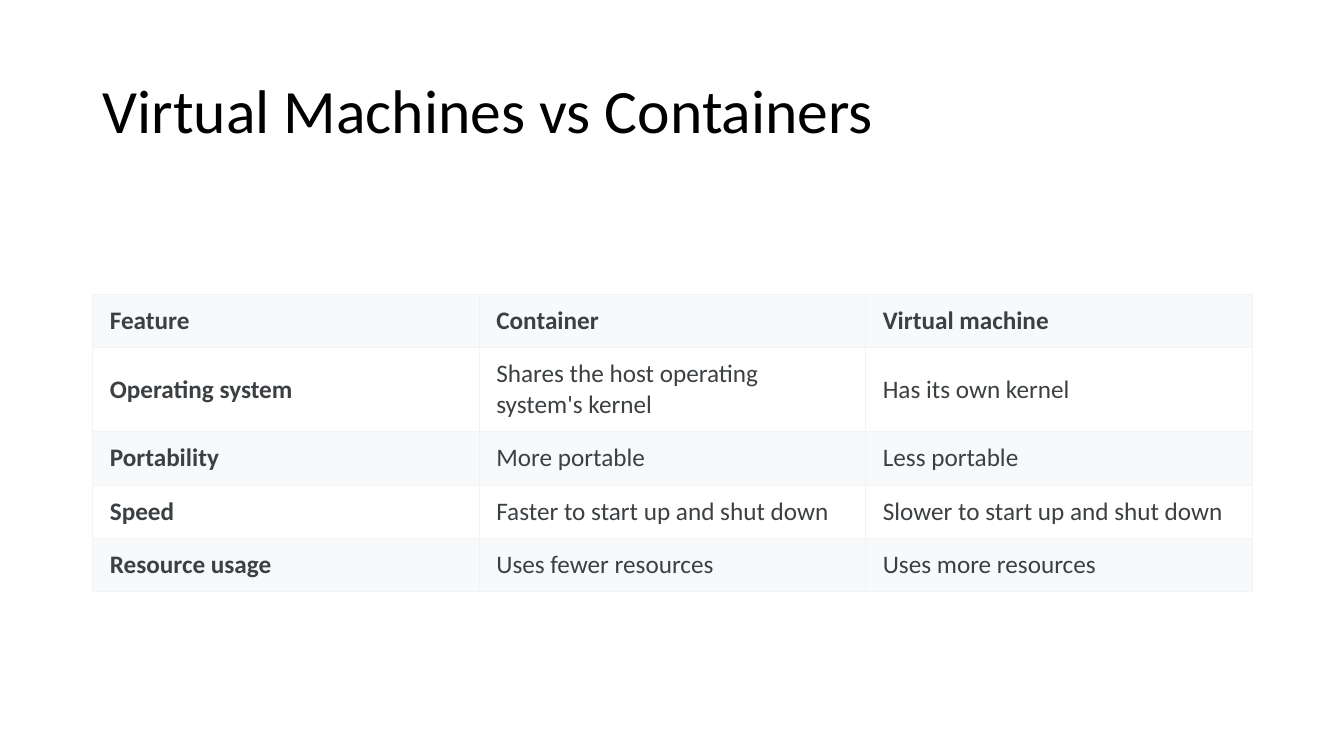
from lxml.etree import SubElement
from pptx import Presentation
from pptx.dml.color import RGBColor
from pptx.enum.text import MSO_ANCHOR
from pptx.oxml.ns import qn
from pptx.util import Inches, Pt

BLACK = RGBColor(0x00, 0x00, 0x00)
WHITE = RGBColor(0xFF, 0xFF, 0xFF)
GREY = RGBColor(0x3C, 0x40, 0x43)
BAND = RGBColor(0xF8, 0xF9, 0xFA)
EDGE = RGBColor(0xF1, 0xF3, 0xF4)
FONT = "Calibri"
LEFT, WIDTH = 0.92, 11.5
HEIGHTS = [0.53, 0.83, 0.53, 0.53, 0.53]
ROWS = [
    ["Feature", "Container", "Virtual machine"],
    ["Operating system", "Shares the host operating system's kernel", "Has its own kernel"],
    ["Portability", "More portable", "Less portable"],
    ["Speed", "Faster to start up and shut down", "Slower to start up and shut down"],
    ["Resource usage", "Uses fewer resources", "Uses more resources"],
]


def set_text(frame, text, size, color, bold=False):
    """Fill a text frame with one styled paragraph."""
    frame.text = text
    frame.word_wrap = True
    font = frame.paragraphs[0].runs[0].font
    font.name, font.size, font.bold = FONT, Pt(size), bold
    font.color.rgb = color


def add_title(slide, text):
    """Add the slide heading."""
    box = slide.shapes.add_textbox(Inches(LEFT), Inches(0.4), Inches(WIDTH), Inches(1.45))
    frame = box.text_frame
    set_text(frame, text, 44, BLACK)
    frame.vertical_anchor = MSO_ANCHOR.MIDDLE
    frame.paragraphs[0].line_spacing = 0.9


def add_edges(cell):
    """Draw a thin line on all four sides of a cell."""
    props = cell._tc.get_or_add_tcPr()
    for side in ("lnL", "lnR", "lnT", "lnB"):
        line = SubElement(props, qn(f"a:{side}"), w=str(Pt(0.5)))
        fill = SubElement(line, qn("a:solidFill"))
        SubElement(fill, qn("a:srgbClr"), val=str(EDGE))


def style_cell(cell, text, bold, fill):
    """Set the text, margins, borders and fill of a cell."""
    set_text(cell.text_frame, text, 18, GREY, bold)
    cell.vertical_anchor = MSO_ANCHOR.MIDDLE
    cell.margin_left = cell.margin_right = Inches(0.17)
    cell.margin_top = cell.margin_bottom = Inches(0.11)
    add_edges(cell)
    cell.fill.solid()
    cell.fill.fore_color.rgb = fill


def add_grid(slide, rows):
    """Add the comparison table with banded rows."""
    frame = slide.shapes.add_table(
        len(rows), len(rows[0]), Inches(LEFT), Inches(2.92), Inches(WIDTH), Inches(sum(HEIGHTS))
    )
    table = frame.table
    for r, row in enumerate(rows):
        table.rows[r].height = Inches(HEIGHTS[r])
        for c, text in enumerate(row):
            style_cell(table.cell(r, c), text, r == 0 or c == 0, WHITE if r % 2 else BAND)


def main():
    """Build and save the slide."""
    deck = Presentation()
    deck.slide_width, deck.slide_height = Inches(13.33), Inches(7.5)
    slide = deck.slides.add_slide(deck.slide_layouts[6])
    add_title(slide, "Virtual Machines vs Containers")
    add_grid(slide, ROWS)
    deck.save("out.pptx")


if __name__ == "__main__":
    main()
